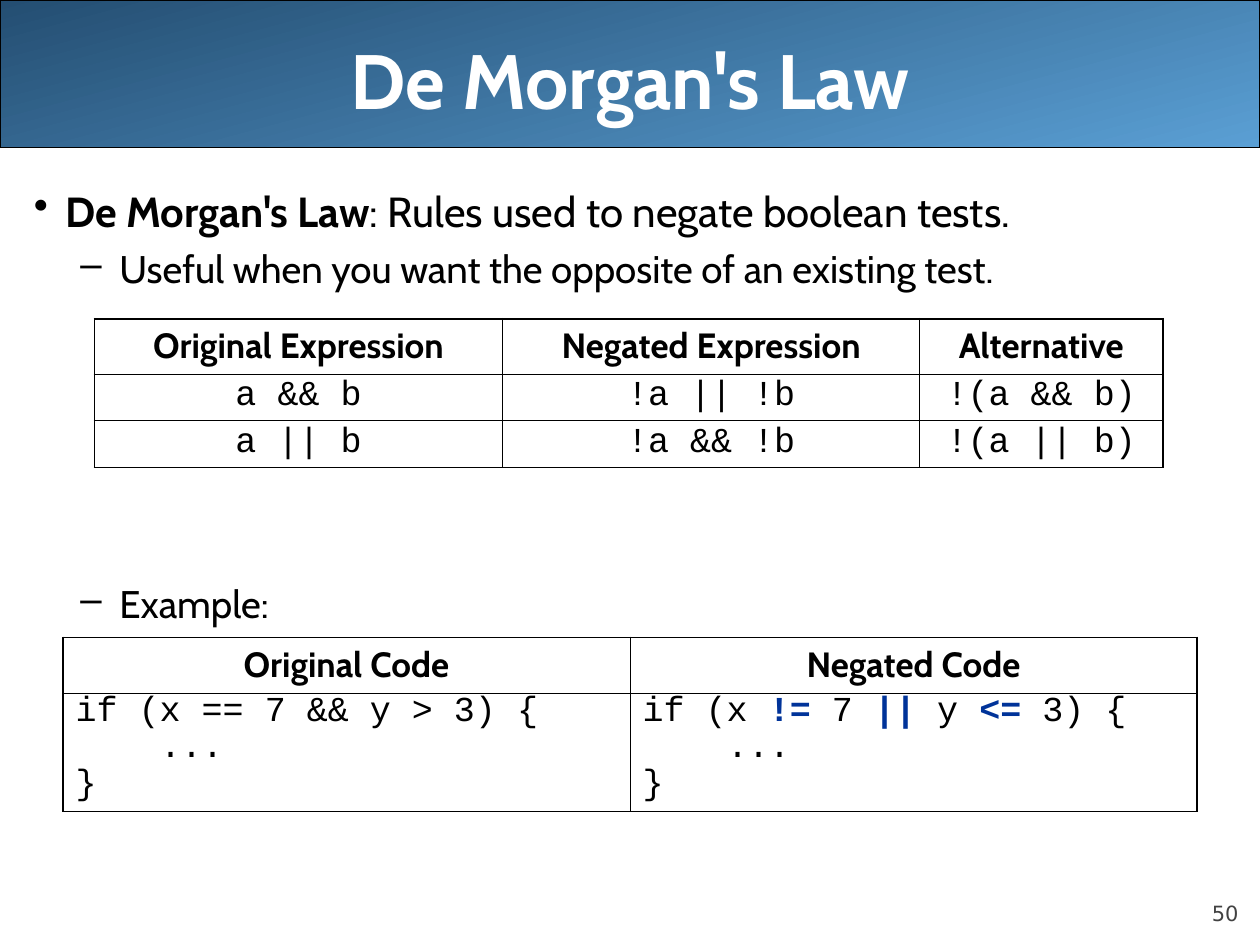
from dataclasses import dataclass

from lxml import etree
from pptx import Presentation
from pptx.dml.color import RGBColor
from pptx.enum import shapes, text
from pptx.oxml import ns
from pptx.util import Inches, Pt


@dataclass(frozen=True)
class Theme:
    body_font: str = "Cabin"
    code_font: str = "Courier New"
    number_font: str = "DejaVu Sans"
    ink: str = "000000"
    white: str = "FFFFFF"
    accent: str = "003399"
    number: str = "424242"
    banner_dark: str = "244E72"
    banner_light: str = "5A9FD4"
    title_size: float = 44
    bullet_size: float = 24
    dash_size: float = 22
    table_size: float = 20
    number_size: float = 12
    outer_border: float = 1.08
    inner_border: float = 0.45


@dataclass(frozen=True)
class Span:
    words: str
    bold: bool = False
    color: str = Theme.ink


@dataclass(frozen=True)
class Bullet:
    mark: str
    spans: tuple[Span, ...]
    size: float
    margin: float
    hang: float
    before: float


@dataclass(frozen=True)
class CodeLine:
    spans: tuple[Span, ...]
    indent: float = 0


@dataclass(frozen=True)
class Grid:
    left: float
    top: float
    columns: tuple[float, ...]
    row_heights: tuple[float, ...]
    headings: tuple[str, ...]
    rows: tuple[tuple[tuple[CodeLine, ...], ...], ...]
    code_align: text.PP_ALIGN
    code_spacing: float


THEME = Theme()
CENTER, LEFT, RIGHT = text.PP_ALIGN.CENTER, text.PP_ALIGN.LEFT, text.PP_ALIGN.RIGHT


def code(words: str) -> tuple[CodeLine, ...]:
    return (CodeLine((Span(words),)),)


def if_block(*condition: Span) -> tuple[CodeLine, ...]:
    return (CodeLine(condition), CodeLine((Span("..."),), indent=0.67), *code("}"))


def changed(operator: str) -> Span:
    return Span(operator, bold=True, color=THEME.accent)


BULLETS = (
    Bullet("•", (Span("De Morgan's Law", bold=True), Span(": Rules used to negate boolean tests.")),
           THEME.bullet_size, 0.25, 0.25, 6),
    Bullet("–", (Span("Useful when you want the opposite of an existing test."),),
           THEME.dash_size, 0.68, 0.31, 5.5),
    # The wide gap leaves room for the table of rules.
    Bullet("–", (Span("Example:"),), THEME.dash_size, 0.68, 0.31, 165),
)

RULES = Grid(
    0.75, 2.53, (3.24, 3.31, 1.93), (0.44, 0.37, 0.37),
    ("Original Expression", "Negated Expression", "Alternative"),
    ((code("a && b"), code("!a || !b"), code("!(a && b)")),
     (code("a || b"), code("!a && !b"), code("!(a || b)"))),
    CENTER, 0.8,
)

EXAMPLE = Grid(
    0.5, 5.06, (4.5, 4.5), (0.44, 0.94),
    ("Original Code", "Negated Code"),
    ((if_block(Span("if (x == 7 && y > 3) {")),
      if_block(Span("if (x "), changed("!="), Span(" 7 "), changed("||"),
               Span(" y "), changed("<="), Span(" 3) {"))),),
    LEFT, 0.7,
)


def write(paragraph, spans: tuple[Span, ...], font: str, size: float,
          align: text.PP_ALIGN = LEFT, before: float = 0) -> None:
    paragraph.alignment = align
    paragraph.space_before = Pt(before)
    for span in spans:
        run = paragraph.add_run()
        run.text = span.words
        run.font.name = font
        run.font.size = Pt(size)
        run.font.bold = span.bold
        run.font.color.rgb = RGBColor.from_string(span.color)


def paragraph_at(frame, index: int):
    return frame.paragraphs[0] if index == 0 else frame.add_paragraph()


def add_frame(slide, left: float, top: float, width: float, height: float,
              anchor: text.MSO_ANCHOR = text.MSO_ANCHOR.TOP):
    box = slide.shapes.add_textbox(Inches(left), Inches(top), Inches(width), Inches(height))
    frame = box.text_frame
    frame.word_wrap = True
    frame.vertical_anchor = anchor
    return frame


def add_banner(slide) -> None:
    banner = slide.shapes.add_shape(shapes.MSO_SHAPE.RECTANGLE, 0, 0, Inches(10), Inches(1.17))
    banner.shadow.inherit = False
    banner.fill.gradient()
    banner.fill.gradient_angle = 285
    for stop, color in zip(banner.fill.gradient_stops, (THEME.banner_dark, THEME.banner_light)):
        stop.color.rgb = RGBColor.from_string(color)
    banner.line.color.rgb = RGBColor.from_string(THEME.ink)
    banner.line.width = Pt(0.75)


def add_bullets(slide) -> None:
    frame = add_frame(slide, 0.17, 1.42, 9.83, 5.67)
    for index, bullet in enumerate(BULLETS):
        paragraph = paragraph_at(frame, index)
        write(paragraph, bullet.spans, THEME.body_font, bullet.size, before=bullet.before)
        properties = paragraph._p.get_or_add_pPr()
        properties.set("marL", str(Inches(bullet.margin)))
        properties.set("indent", str(-Inches(bullet.hang)))
        etree.SubElement(properties, ns.qn("a:buChar"), char=bullet.mark)


def set_borders(cell, row: int, column: int, last_row: int, last_column: int) -> None:
    """Draw thick lines on the table's edge and thin ones inside it."""
    on_edge = {"L": column == 0, "R": column == last_column,
               "T": row == 0, "B": row == last_row}
    properties = cell._tc.get_or_add_tcPr()
    for position, (side, outer) in enumerate(on_edge.items()):
        width = Pt(THEME.outer_border if outer else THEME.inner_border)
        border = etree.Element(ns.qn(f"a:ln{side}"), w=str(width))
        fill = etree.SubElement(border, ns.qn("a:solidFill"))
        etree.SubElement(fill, ns.qn("a:srgbClr"), val=THEME.ink)
        properties.insert(position, border)


def add_grid(slide, grid: Grid) -> None:
    row_count, column_count = len(grid.row_heights), len(grid.columns)
    table = slide.shapes.add_table(
        row_count, column_count, Inches(grid.left), Inches(grid.top),
        Inches(sum(grid.columns)), Inches(sum(grid.row_heights))).table
    table.first_row = table.horz_banding = False
    for column, width in zip(table.columns, grid.columns):
        column.width = Inches(width)
    for row, height in zip(table.rows, grid.row_heights):
        row.height = Inches(height)

    for column, heading in enumerate(grid.headings):
        write(table.cell(0, column).text_frame.paragraphs[0], (Span(heading, bold=True),),
              THEME.body_font, THEME.table_size, CENTER, 5)
    for row, entries in enumerate(grid.rows, start=1):
        for column, lines in enumerate(entries):
            frame = table.cell(row, column).text_frame
            for index, line in enumerate(lines):
                paragraph = paragraph_at(frame, index)
                write(paragraph, line.spans, THEME.code_font, THEME.table_size, grid.code_align, 5)
                paragraph.line_spacing = grid.code_spacing
                paragraph._p.get_or_add_pPr().set("marL", str(Inches(line.indent)))
    for row in range(row_count):
        for column in range(column_count):
            cell = table.cell(row, column)
            cell.fill.background()
            set_borders(cell, row, column, row_count - 1, column_count - 1)


def main() -> None:
    deck = Presentation()
    deck.slide_width, deck.slide_height = Inches(10), Inches(7.5)
    slide = deck.slides.add_slide(deck.slide_layouts[6])
    add_banner(slide)

    page = add_frame(slide, 9, 6.95, 0.83, 0.4, text.MSO_ANCHOR.BOTTOM)
    page.margin_left = page.margin_right = page.margin_top = page.margin_bottom = 0
    write(page.paragraphs[0], (Span("50", color=THEME.number),),
          THEME.number_font, THEME.number_size, RIGHT, 5)

    title = add_frame(slide, 0.5, 0, 9, 1.25, text.MSO_ANCHOR.MIDDLE)
    write(title.paragraphs[0], (Span("De Morgan's Law", bold=True, color=THEME.white),),
          THEME.body_font, THEME.title_size, CENTER)

    add_bullets(slide)
    for grid in (RULES, EXAMPLE):
        add_grid(slide, grid)
    deck.save("out.pptx")


if __name__ == "__main__":
    main()
